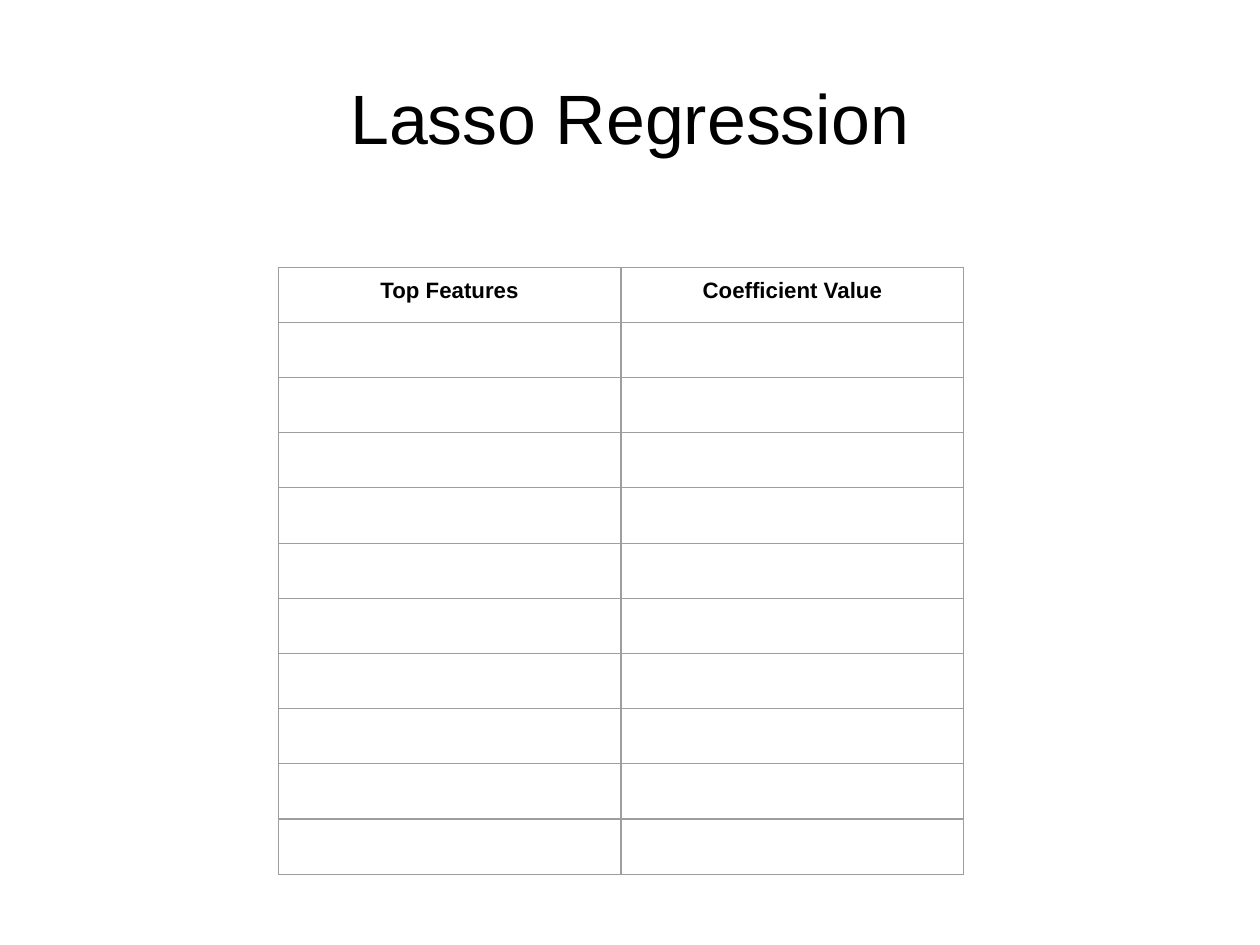
from lxml import etree
from pptx import Presentation
from pptx import util as u
from pptx.dml.color import RGBColor
from pptx.enum import text
from pptx.oxml import ns


def write(frame, words, size, bold=False, color="000000", font="Arial"):
    para = frame.paragraphs[0]
    para.alignment = text.PP_ALIGN.CENTER
    span = para.add_run()
    span.text = words
    span.font.name = font
    span.font.size = u.Pt(size)
    span.font.bold = bold
    span.font.color.rgb = RGBColor.from_string(color)


def draw_borders(cell, color, width):
    properties = cell._tc.get_or_add_tcPr()
    for position, side in enumerate(("lnL", "lnR", "lnT", "lnB")):
        line = etree.Element(ns.qn(f"a:{side}"), w=str(u.Pt(width)))
        fill = etree.SubElement(line, ns.qn("a:solidFill"))
        etree.SubElement(fill, ns.qn("a:srgbClr"), val=color)
        properties.insert(position, line)


deck = Presentation()
deck.slide_width, deck.slide_height = u.Cm(28), u.Cm(21)
page = deck.slides.add_slide(deck.slide_layouts[5])

title = page.shapes.title
title.left, title.top = int(deck.slide_width * 0.05), int(deck.slide_height * 0.04)
title.width, title.height = int(deck.slide_width * 0.9), u.Cm(3.5)
frame = title.text_frame
frame.margin_left = frame.margin_right = frame.margin_top = frame.margin_bottom = 0
frame.vertical_anchor = text.MSO_ANCHOR.MIDDLE
frame.auto_size = text.MSO_AUTO_SIZE.NONE
frame.word_wrap = True
write(frame, "Lasso Regression", size=44)

headings = ["Top Features", "Coefficient Value"]
feature_rows = 10
table = page.shapes.add_table(
    feature_rows + 1, len(headings),
    u.Cm(6.18), u.Cm(5.94), u.Inches(6), u.Inches(5.31),
).table
table.first_row = table.horz_banding = False

for cell in table.iter_cells():
    cell.fill.background()
    draw_borders(cell, color="9E9E9E", width=0.75)

for column, heading in enumerate(headings):
    cell = table.cell(0, column)
    cell.margin_left = cell.margin_right = u.Inches(0.1)
    cell.margin_top = cell.margin_bottom = u.Inches(0.1)
    write(cell.text_frame, heading, size=14, bold=True)

deck.save("out.pptx")
